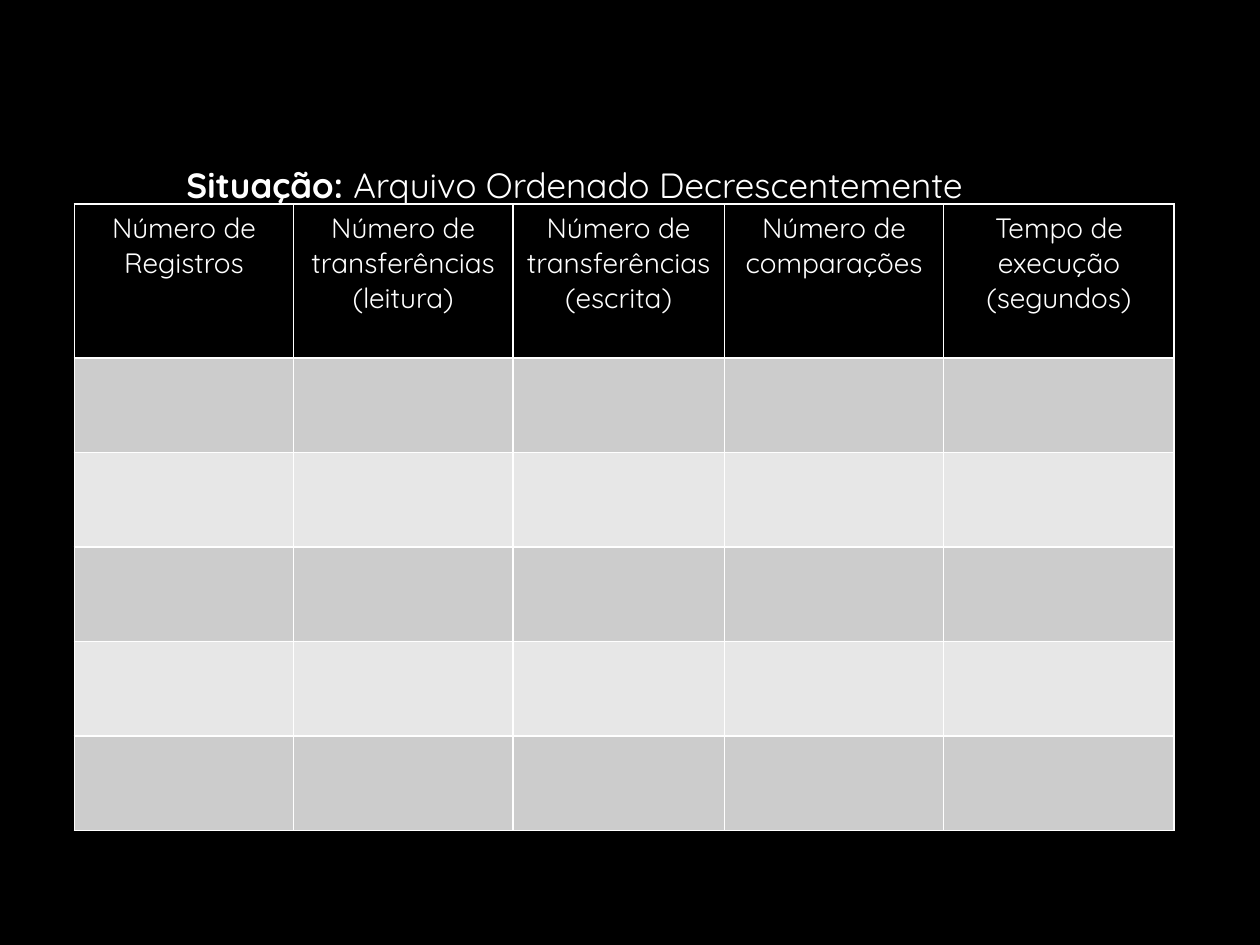
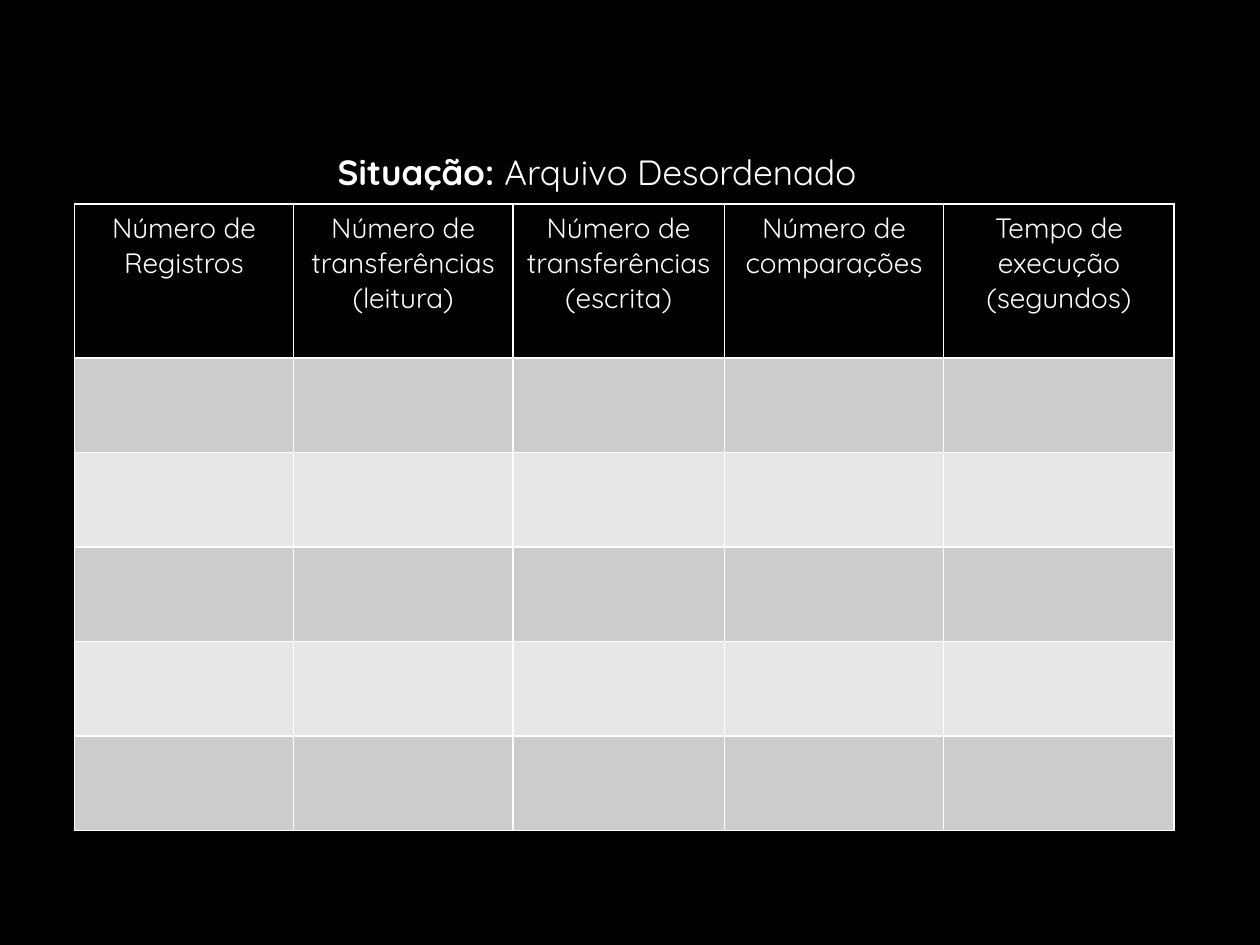
from lxml.etree import SubElement
from pptx import Presentation
from pptx.dml.color import RGBColor
from pptx.enum.text import MSO_ANCHOR, MSO_AUTO_SIZE, PP_ALIGN
from pptx.oxml.ns import qn
from pptx.util import Inches, Pt

SITUATIONS = [
    {"label": "Situação: ", "text": "Arquivo Ordenado Decrescentemente",
     "frame": (1.38, 1.08, 6.85, 0.54)},
    {"label": "Situação: ", "text": "Arquivo Desordenado",
     "frame": (2.58, 0.98, 4.64, 0.61)},
]
HEADERS = [
    "Número de Registros",
    "Número de transferências\n(leitura)",
    "Número de transferências\n(escrita)",
    "Número de comparações",
    "Tempo de execução\n(segundos)",
]
COLUMN_WIDTHS = [1.74, 1.74, 1.68, 1.74, 1.83]
ROW_HEIGHTS = [1.22] + [0.75] * 5
TABLE_LEFT, TABLE_TOP = 0.59, 1.62
FONT = "Quicksand"
COLORS = {
    "background": "000000",
    "text": "FFFFFF",
    "border": "FFFFFF",
    "odd_row": "CCCCCC",
    "even_row": "E7E7E7",
}


def paint(fill, name):
    fill.solid()
    fill.fore_color.rgb = RGBColor.from_string(COLORS[name])


def format_span(span, size, bold=False):
    span.font.name = FONT
    span.font.size = Pt(size)
    span.font.bold = bold
    span.font.color.rgb = RGBColor.from_string(COLORS["text"])


def add_borders(cell):
    properties = cell._tc.get_or_add_tcPr()
    for side in ("lnL", "lnR", "lnT", "lnB"):
        line = SubElement(properties, qn(f"a:{side}"), w=str(Pt(1)))
        solid = SubElement(line, qn("a:solidFill"))
        SubElement(solid, qn("a:srgbClr"), val=COLORS["border"])


def add_title(slide, situation):
    title = slide.shapes.title
    title.left, title.top, title.width, title.height = map(Inches, situation["frame"])
    frame = title.text_frame
    frame.word_wrap = False
    frame.auto_size = MSO_AUTO_SIZE.SHAPE_TO_FIT_TEXT
    frame.vertical_anchor = MSO_ANCHOR.TOP
    para = frame.paragraphs[0]
    para.alignment = PP_ALIGN.LEFT
    para.line_spacing = 1.5
    for key, bold in (("label", True), ("text", False)):
        span = para.add_run()
        span.text = situation[key]
        format_span(span, 20, bold)


def add_results_table(slide):
    table = slide.shapes.add_table(
        len(ROW_HEIGHTS), len(HEADERS), Inches(TABLE_LEFT), Inches(TABLE_TOP),
        Inches(sum(COLUMN_WIDTHS)), Inches(sum(ROW_HEIGHTS))).table
    for column, width in zip(table.columns, COLUMN_WIDTHS):
        column.width = Inches(width)
    for index, (row, height) in enumerate(zip(table.rows, ROW_HEIGHTS)):
        row.height = Inches(height)
        band = "odd_row" if index % 2 else "even_row"
        for cell in row.cells:
            add_borders(cell)
            paint(cell.fill, band if index else "background")
    for cell, header in zip(table.rows[0].cells, HEADERS):
        cell.margin_left = cell.margin_right = Inches(0.07)
        cell.margin_top = cell.margin_bottom = Inches(0.05)
        cell.text_frame.text = header
        for para in cell.text_frame.paragraphs:
            para.alignment = PP_ALIGN.CENTER
            for span in para.runs:
                format_span(span, 16)


def main():
    deck = Presentation()
    deck.slide_width, deck.slide_height = Inches(10), Inches(7.5)
    paint(deck.slide_master.background.fill, "background")
    title_only = deck.slide_layouts.get_by_name("Title Only")
    for situation in SITUATIONS:
        slide = deck.slides.add_slide(title_only)
        add_title(slide, situation)
        add_results_table(slide)
    deck.save("out.pptx")


if __name__ == "__main__":
    main()
